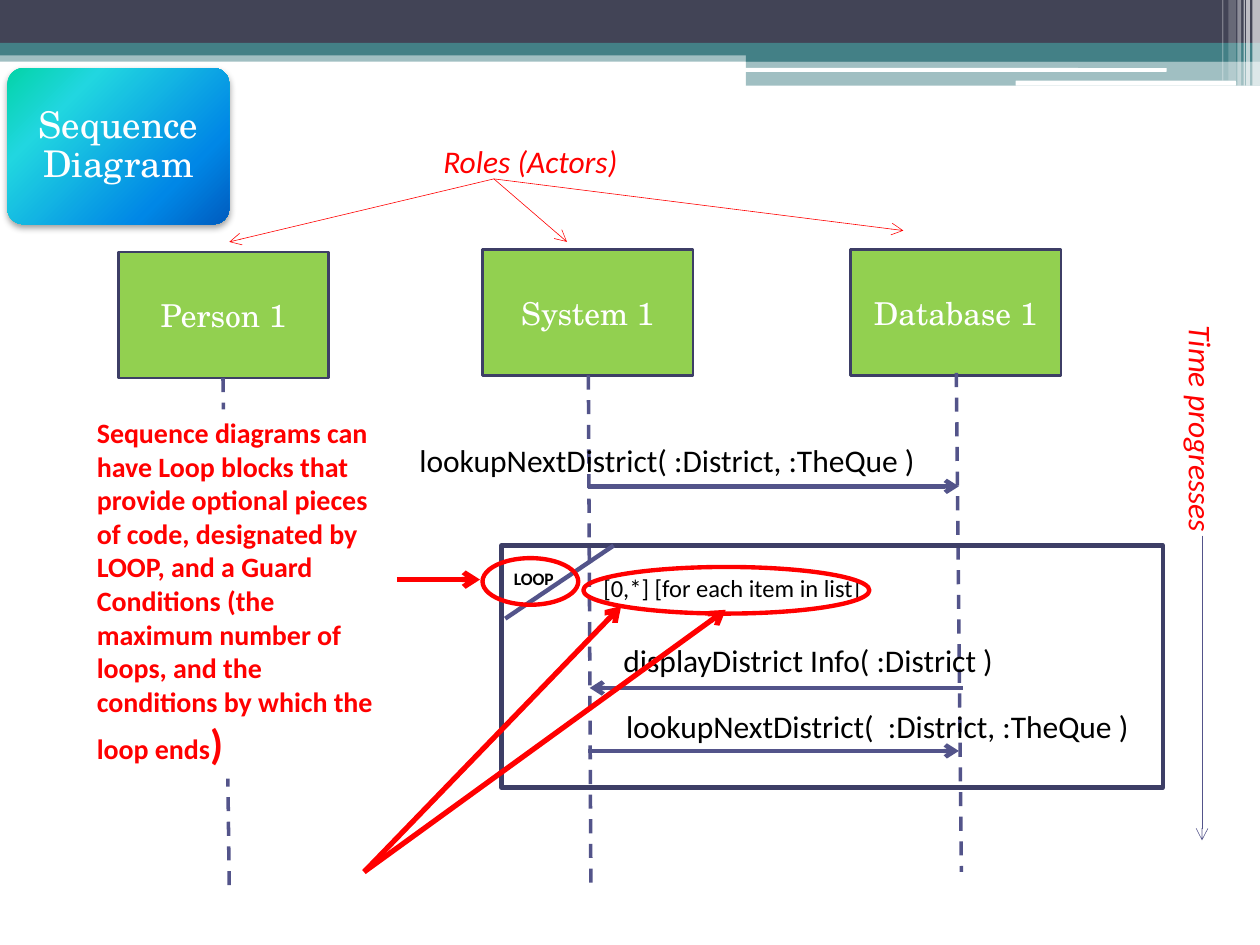
from dataclasses import dataclass

from lxml.etree import SubElement
from pptx import Presentation
from pptx.dml.color import RGBColor
from pptx.enum.dml import MSO_LINE
from pptx.enum.shapes import MSO_CONNECTOR, MSO_SHAPE
from pptx.enum.text import MSO_ANCHOR, MSO_AUTO_SIZE, PP_ALIGN
from pptx.oxml.ns import qn
from pptx.util import Inches, Pt


@dataclass(frozen=True)
class Theme:
    """Colours, fonts and type sizes of the slide."""
    white: str = "FFFFFF"
    black: str = "000000"
    navy: str = "424456"
    teal: str = "438086"
    green: str = "92D050"
    outline: str = "3D3E66"
    violet: str = "53548A"
    red: str = "FF0000"
    gradient: tuple = ((0, "03D4A8"), (25, "21D6E0"), (75, "0087E6"), (100, "005CBF"))
    serif: str = "TeX Gyre Schola"
    sans: str = "Calibri"
    title: float = 21
    label: float = 18
    note: float = 16
    guard: float = 14
    small: float = 10
    closing: float = 24


class SlideBuilder:
    """Draws styled elements on the current slide."""

    def __init__(self, page, theme):
        self.page = page
        self.theme = theme

    def fill_text(self, frame, spans, align=PP_ALIGN.LEFT, wrap=True, **style):
        """Fill a text frame with (text, overrides) spans."""
        frame.word_wrap = wrap
        para = frame.paragraphs[0]
        para.alignment = align
        for text, overrides in spans:
            span = para.add_run()
            span.text = text
            values = {"name": self.theme.sans, "size": self.theme.label,
                      "color": self.theme.black, **style, **overrides}
            span.font.color.rgb = RGBColor.from_string(values.pop("color"))
            values["size"] = Pt(values["size"])
            for name, value in values.items():
                setattr(span.font, name, value)
        return para

    def shape(self, kind, place, fill=None, opacity=100, line=None, corner=None):
        """Add a preset shape with a plain fill and outline."""
        box = self.page.shapes.add_shape(kind, *map(Inches, place))
        box.shadow.inherit = False
        if corner is not None:
            box.adjustments[0] = corner
        if fill:
            box.fill.solid()
            box.fill.fore_color.rgb = RGBColor.from_string(fill)
            if opacity < 100:
                color = box._element.spPr.find(".//" + qn("a:srgbClr"))
                SubElement(color, qn("a:alpha"), val=str(opacity * 1000))
        else:
            box.fill.background()
        if line:
            color, width = line
            box.line.color.rgb = RGBColor.from_string(color)
            box.line.width = Pt(width)
        else:
            box.line.fill.background()
        return box

    def text(self, place, text, rotation=0, wrap=True, **style):
        """Add a text box holding one line of text."""
        box = self.page.shapes.add_textbox(*map(Inches, place))
        box.rotation = rotation
        self.fill_text(box.text_frame, [(text, {})], wrap=wrap, **style)

    def line(self, start, end, color, width, dashed=False, arrow=False):
        """Add a straight line, dashed or with an arrowhead at its end."""
        line = self.page.shapes.add_connector(
            MSO_CONNECTOR.STRAIGHT, *map(Inches, (*start, *end)))
        line.line.color.rgb = RGBColor.from_string(color)
        line.line.width = Pt(width)
        if dashed:
            line.line.dash_style = MSO_LINE.DASH
        properties = line._element.spPr
        if arrow:
            SubElement(properties.find(qn("a:ln")), qn("a:tailEnd"), type="arrow")
        SubElement(properties, qn("a:effectLst"))

    def title_card(self, place, text):
        """Add the gradient card and lay the title placeholder over it."""
        card = self.shape(MSO_SHAPE.ROUNDED_RECTANGLE, place, corner=0.1)
        card.fill.gradient()
        card.fill.gradient_angle = 315
        properties = card._element.spPr
        stops = properties.find(".//" + qn("a:gsLst"))
        for stop in list(stops):
            stops.remove(stop)
        for position, color in self.theme.gradient:
            stop = SubElement(stops, qn("a:gs"), pos=str(position * 1000))
            SubElement(stop, qn("a:srgbClr"), val=color)
        shadow = SubElement(properties.find(qn("a:effectLst")), qn("a:outerShdw"),
                            blurRad=str(int(Pt(4.1))), dist=str(int(Pt(2))), dir="5400000")
        color = SubElement(shadow, qn("a:srgbClr"), val=self.theme.black)
        SubElement(color, qn("a:alpha"), val="40000")

        title = self.page.shapes.title
        left, top, width, height = place
        inset = 0.03
        bounds = (left + inset, top + inset, width - 2 * inset, height - 2 * inset)
        for name, value in zip(("left", "top", "width", "height"), bounds):
            setattr(title, name, Inches(value))
        frame = title.text_frame
        frame.auto_size = MSO_AUTO_SIZE.NONE
        frame.vertical_anchor = MSO_ANCHOR.MIDDLE
        for side in ("left", "top", "right", "bottom"):
            setattr(frame, f"margin_{side}", Inches(0.09))
        para = self.fill_text(frame, [(text, {})], PP_ALIGN.CENTER, name=self.theme.serif,
                              size=self.theme.title, color=self.theme.white)
        para.line_spacing = 0.9
        card._element.addnext(title._element)

    def role(self, left, top, name):
        """Add the box of one participant."""
        box = self.shape(MSO_SHAPE.RECTANGLE, (left, top, 1.67, 1),
                         self.theme.green, line=(self.theme.outline, 1.5))
        box.text_frame.vertical_anchor = MSO_ANCHOR.MIDDLE
        self.fill_text(box.text_frame, [(name, {})], PP_ALIGN.CENTER,
                       name=self.theme.serif, color=self.theme.white)

    def note(self, place, spans):
        """Add the white explanation panel."""
        box = self.shape(MSO_SHAPE.RECTANGLE, place, self.theme.white)
        box.text_frame.vertical_anchor = MSO_ANCHOR.TOP
        self.fill_text(box.text_frame, spans, size=self.theme.note,
                       color=self.theme.red, bold=True)


def main():
    """Build the sequence diagram slide."""
    theme = Theme()
    deck = Presentation()
    deck.slide_width, deck.slide_height = Inches(10), Inches(7.5)
    page = deck.slides.add_slide(deck.slide_layouts[5])
    draw = SlideBuilder(page, theme)

    for place, color, opacity in (
            ((0, 0.4, 10, 0.09), theme.teal, 50),
            ((0, 0, 10, 0.34), theme.navy, 100),
            ((0, 0.34, 10, 0.1), theme.teal, 100),
            ((5.92, 0.39, 4.08, 0.1), theme.teal, 100),
            ((5.92, 0.48, 4.08, 0.2), theme.teal, 50)):
        draw.shape(MSO_SHAPE.RECTANGLE, place, color, opacity)
    for place in ((5.91, 0.54, 3.35, 0.03), (8.06, 0.64, 1.75, 0.04)):
        draw.shape(MSO_SHAPE.ROUNDED_RECTANGLE, place, theme.white, corner=0.17)
    for left, width, height, opacity in (
            (9.94, 0.06, 0.68, 65), (9.89, 0.03, 0.68, 65), (9.87, 0.01, 0.68, 60),
            (9.82, 0.03, 0.68, 40), (9.75, 0.06, 0.64, 20), (9.7, 0.01, 0.64, 30)):
        draw.shape(MSO_SHAPE.RECTANGLE, (left, 0, width, height), theme.white, opacity)

    draw.title_card((0.06, 0.54, 1.76, 1.24), "Sequence Diagram")

    for left, top, name in ((0.94, 2, "Person 1"), (3.83, 1.98, "System 1"),
                            (6.75, 1.98, "Database 1")):
        draw.role(left, top, name)
    for start, end in (((1.77, 3), (1.82, 7.08)), ((7.59, 2.96), (7.63, 6.92)),
                       ((4.67, 2.98), (4.69, 7.08))):
        draw.line(start, end, theme.violet, 2, dashed=True)

    draw.text((8.16, 3.66, 2.75, 0.4), "Time progresses", rotation=90,
              color=theme.red, italic=True)
    draw.line((9.54, 4.25), (9.54, 6.67), theme.violet, 0.35, arrow=True)
    draw.text((3.42, 1.08, 1.92, 0.4), "Roles (Actors)", color=theme.red, italic=True)
    for end in ((1.82, 1.92), (4.5, 1.92), (7.17, 1.83)):
        draw.line((3.92, 1.42), end, theme.red, 0.35, arrow=True)

    for start, end, height in ((7.64, 4.68, 5.46), (4.67, 7.61, 3.86), (4.67, 7.61, 5.96)):
        draw.line((start, height), (end, height), theme.violet, 2.5, arrow=True)
    draw.text((4.85, 5.04, 3.23, 0.4), "displayDistrict Info( :District )", wrap=False)
    draw.text((4.87, 5.56, 4.29, 0.4), "lookupNextDistrict(  :District, :TheQue )")
    draw.text((3.23, 3.45, 4.24, 0.4), "lookupNextDistrict( :District, :TheQue )", wrap=False)

    draw.shape(MSO_SHAPE.RECTANGLE, (3.98, 4.33, 5.25, 1.92), line=(theme.outline, 2.5))
    draw.text((3.98, 4.46, 0.54, 0.27), "LOOP", size=theme.small, bold=True)
    draw.line((4.01, 4.91), (4.87, 4.33), theme.violet, 2.5)
    draw.text((4.69, 4.5, 2.26, 0.34), "[0,*] [for each item in list]",
              wrap=False, size=theme.guard)

    draw.note((0.67, 3.25, 2.48, 2.93), [
        ("Sequence diagrams can have Loop blocks that provide optional pieces of code, "
         "designated by LOOP, and a Guard Conditions (the maximum number of loops, "
         "and the conditions by which the loop ends", {}),
        (")", {"size": theme.closing})])
    for place in ((3.83, 4.43, 0.76, 0.37), (4.63, 4.5, 2.27, 0.37)):
        draw.shape(MSO_SHAPE.OVAL, place, line=(theme.red, 2.5))
    for start, end in (((2.89, 6.92), (4.93, 4.81)), ((3.15, 4.6), (3.81, 4.6)),
                       ((2.89, 6.92), (5.76, 4.84))):
        draw.line(start, end, theme.red, 3, arrow=True)

    deck.save("out.pptx")


if __name__ == "__main__":
    main()
